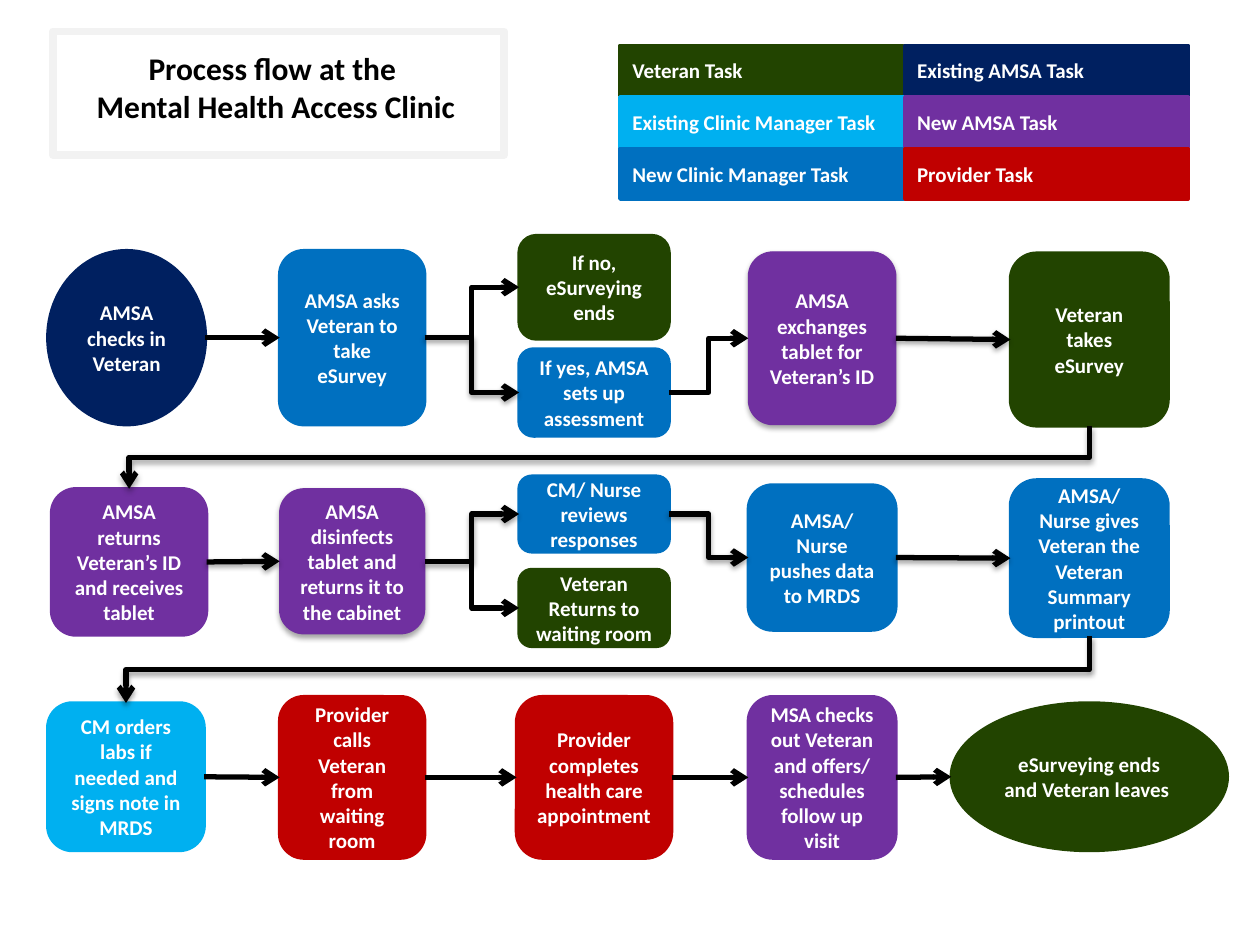
from lxml import etree
from pptx import Presentation
from pptx.dml.color import RGBColor
from pptx.enum.shapes import MSO_CONNECTOR, MSO_SHAPE
from pptx.enum.text import MSO_ANCHOR, PP_ALIGN
from pptx.oxml.ns import qn
from pptx.util import Inches, Pt

RECT, ROUND, OVAL = MSO_SHAPE.RECTANGLE, MSO_SHAPE.ROUNDED_RECTANGLE, MSO_SHAPE.OVAL
STRAIGHT, ELBOW = MSO_CONNECTOR.STRAIGHT, MSO_CONNECTOR.ELBOW
LEFT, CENTER = PP_ALIGN.LEFT, PP_ALIGN.CENTER
TOP, MIDDLE = MSO_ANCHOR.TOP, MSO_ANCHOR.MIDDLE
SITE_LEFT, SITE_RIGHT = 1, 3

COLORS = {
    "veteran": "224400", "amsa": "002060", "manager": "00B0F0",
    "new_manager": "0070C0", "new_amsa": "7030A0", "provider": "C00000",
    "white": "FFFFFF", "black": "000000", "frame": "F2F2F2",
}


def rgb(name):
    return RGBColor.from_string(COLORS[name])


def write(sp, text, size=12, color="white", align=CENTER, anchor=MIDDLE):
    tf = sp.text_frame
    tf.word_wrap = True
    tf.vertical_anchor = anchor
    p = tf.paragraphs[0]
    p.text = text
    p.alignment = align
    for r in p.runs:
        r.font.name = "Calibri"
        r.font.size = Pt(size)
        r.font.bold = True
        r.font.color.rgb = rgb(color)


def add_box(s, kind, x, y, w, h, fill, line=None, width=2):
    sp = s.shapes.add_shape(kind, Inches(x), Inches(y), Inches(w), Inches(h))
    sp.shadow.inherit = False
    sp.fill.solid()
    sp.fill.fore_color.rgb = rgb(fill)
    sp.line.color.rgb = rgb(line or fill)
    sp.line.width = Pt(width)
    return sp


def drop_shadow(effects, dist, alpha):
    shadow = etree.SubElement(effects, qn("a:outerShdw"), blurRad="40000",
                              dist=str(dist), dir="5400000", rotWithShape="0")
    color = etree.SubElement(shadow, qn("a:srgbClr"), val=COLORS["black"])
    etree.SubElement(color, qn("a:alpha"), val=str(alpha))


def style_arrow(cx, shadow):
    cx.line.color.rgb = rgb("black")
    cx.line.width = Pt(3)
    sp_pr = cx._element.spPr
    etree.SubElement(sp_pr.find(qn("a:ln")), qn("a:tailEnd"), type="arrow")
    effects = etree.SubElement(sp_pr, qn("a:effectLst"))
    if shadow:
        drop_shadow(effects, 20000, 38000)


def link(s, src, dst, kind=STRAIGHT, shadow=False):
    """Arrow from the right side of src to the left side of dst."""
    cx = s.shapes.add_connector(kind, src.left + src.width, src.top + src.height // 2,
                                dst.left, dst.top + dst.height // 2)
    # Ovals number their connection sites differently
    if src.auto_shape_type == ROUND:
        cx.begin_connect(src, SITE_RIGHT)
    if dst.auto_shape_type == ROUND:
        cx.end_connect(dst, SITE_LEFT)
    style_arrow(cx, shadow)


def row_link(s, src, dst):
    """Elbow from the bottom of src to the top of dst in the next row."""
    x1, y1 = src.left + src.width // 2, src.top + src.height
    x2, y2 = dst.left + dst.width // 2, dst.top
    mid_x, mid_y = (x1 + x2) // 2, (y1 + y2) // 2
    half_w, half_h = (y2 - y1) // 2, (x1 - x2) // 2
    cx = s.shapes.add_connector(ELBOW, mid_x - half_w, mid_y - half_h,
                                mid_x + half_w, mid_y + half_h)
    # A quarter turn makes the elbow leave downwards
    cx._element.spPr.find(qn("a:xfrm")).set("rot", "5400000")
    style_arrow(cx, True)


def add_title(s, x, y, w, h):
    add_box(s, RECT, x + 0.04, y, w - 0.04, h, "white", "frame", 4.5)
    tb = s.shapes.add_textbox(Inches(x), Inches(y + 0.09), Inches(w), Inches(0.7))
    write(tb, "Process flow at the \vMental Health Access Clinic", size=18,
          color="black", anchor=TOP)


def add_legend(s, x, y, w, h):
    rows = [
        [("Veteran Task", "veteran"), ("Existing AMSA Task", "amsa")],
        [("Existing Clinic Manager Task", "manager"), ("New AMSA Task", "new_amsa")],
        [("New Clinic Manager Task", "new_manager"), ("Provider Task", "provider")],
    ]
    col_w, row_h = w / 2, h / len(rows)
    for i, row in enumerate(rows):
        for j, (text, fill) in enumerate(row):
            sp = add_box(s, RECT, x + j * col_w, y + i * row_h, col_w - 0.01,
                         row_h - 0.01, fill)
            write(sp, text, align=LEFT)


def add_row(s, x, y, steps, links):
    """Steps are placed relative to x, y; links name steps by index."""
    shapes = []
    for text, fill, dx, dy, w, h, kind, shadow in steps:
        sp = add_box(s, kind, x + dx, y + dy, w, h, fill, width=0.75 if shadow else 2)
        if shadow:
            drop_shadow(sp._element.spPr.find(qn("a:effectLst")), 23000, 35000)
        write(sp, text)
        shapes.append(sp)
    for a, b, kind, shadow in links:
        link(s, shapes[a], shapes[b], kind, shadow)
    return shapes


def main():
    prs = Presentation()
    prs.slide_width, prs.slide_height = Inches(10), Inches(7.5)
    s = prs.slides.add_slide(prs.slide_layouts[6])

    add_title(s, 0.38, 0.25, 3.62, 0.98)
    add_legend(s, 4.92, 0.36, 4.52, 1.23)

    # Check-in and survey
    survey = add_row(s, 0.38, 1.87, [
        ("AMSA checks in Veteran", "amsa", 0, 0.12, 1.25, 1.38, OVAL, False),
        ("AMSA asks Veteran to take eSurvey", "new_manager", 1.84, 0.12, 1.15, 1.38, ROUND, False),
        ("If no, eSurveying ends", "veteran", 3.74, 0, 1.19, 0.82, ROUND, False),
        ("If yes, AMSA sets up assessment", "new_manager", 3.74, 0.9, 1.19, 0.69, ROUND, False),
        ("AMSA exchanges tablet for Veteran’s ID", "new_amsa", 5.56, 0.13, 1.17, 1.37, ROUND, True),
        ("Veteran takes eSurvey", "veteran", 7.64, 0.14, 1.25, 1.37, ROUND, False),
    ], [(0, 1, STRAIGHT, False), (1, 2, ELBOW, False), (1, 3, ELBOW, True),
        (3, 4, ELBOW, False), (4, 5, STRAIGHT, True)])

    # Tablet return and review
    review = add_row(s, 0.38, 3.78, [
        ("AMSA returns Veteran’s ID and receives tablet", "new_amsa", 0.03, 0.1, 1.23, 1.16, ROUND, False),
        ("AMSA disinfects tablet and returns it to the cabinet", "new_amsa", 1.84, 0.1, 1.15, 1.15, ROUND, True),
        ("CM/ Nurse reviews responses", "new_manager", 3.74, 0, 1.19, 0.6, ROUND, False),
        ("Veteran Returns to waiting room", "veteran", 3.74, 0.74, 1.19, 0.61, ROUND, False),
        ("AMSA/ Nurse pushes data to MRDS", "new_manager", 5.56, 0.07, 1.17, 1.15, ROUND, False),
        ("AMSA/ Nurse gives Veteran the Veteran Summary printout", "new_manager", 7.64, 0.03, 1.25, 1.24, ROUND, False),
    ], [(0, 1, STRAIGHT, True), (1, 2, ELBOW, True), (1, 3, ELBOW, False),
        (2, 4, ELBOW, True), (4, 5, STRAIGHT, True)])

    # Appointment and checkout
    visit = add_row(s, 0.38, 5.53, [
        ("CM orders labs if needed and signs note in MRDS", "manager", 0, 0.05, 1.24, 1.17, ROUND, False),
        ("Provider calls Veteran from waiting room", "provider", 1.84, 0, 1.15, 1.28, ROUND, False),
        ("Provider completes health care appointment", "provider", 3.72, 0, 1.23, 1.28, ROUND, False),
        ("MSA checks out Veteran and offers/ schedules follow up visit", "new_amsa", 5.56, 0, 1.17, 1.28, ROUND, False),
        ("eSurveying ends and Veteran leaves ", "veteran", 7.17, 0.05, 2.19, 1.17, OVAL, False),
    ], [(i, i + 1, STRAIGHT, False) for i in range(4)])

    row_link(s, survey[-1], review[0])
    row_link(s, review[-1], visit[0])
    prs.save("out.pptx")


if __name__ == "__main__":
    main()
